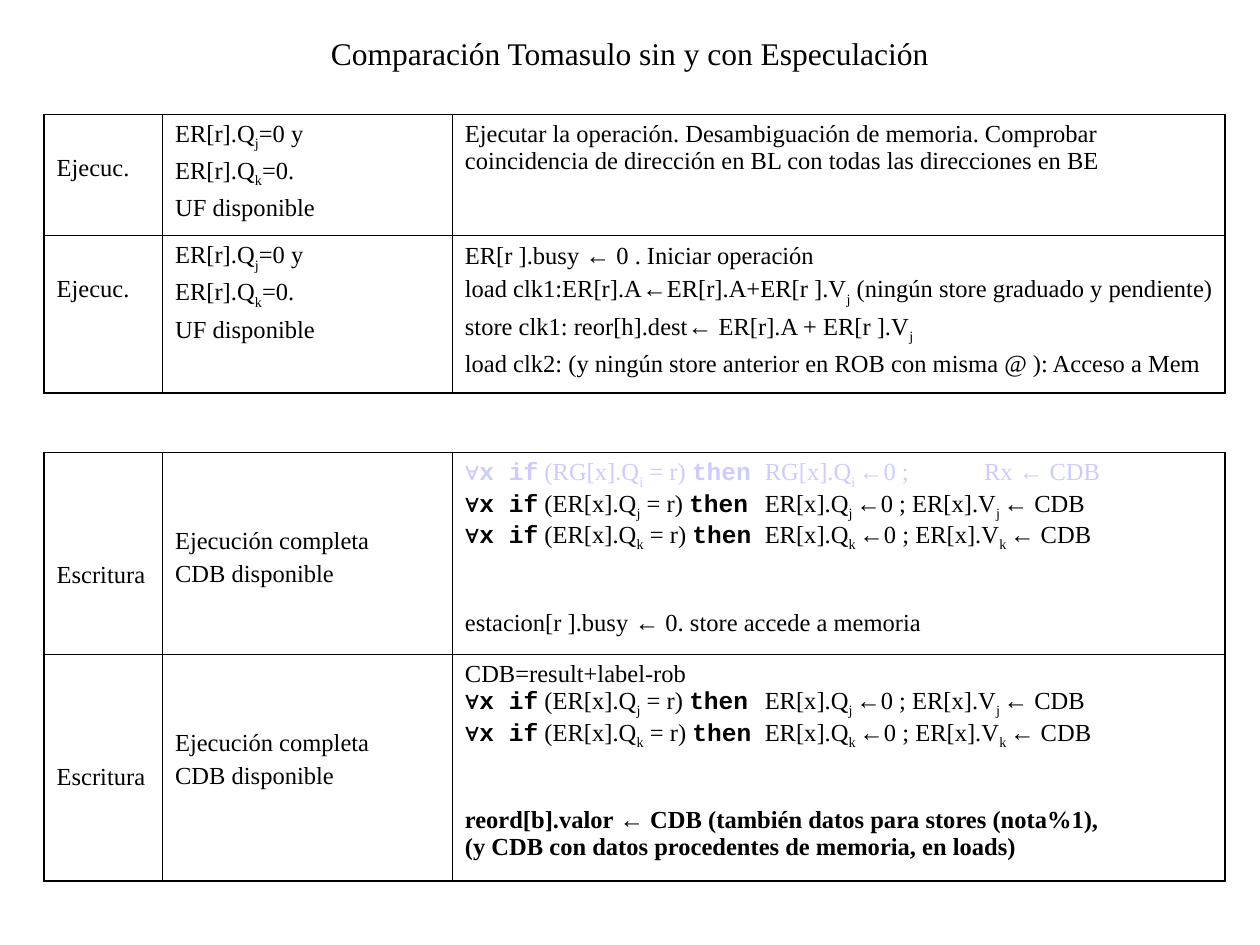
from dataclasses import dataclass

from lxml.etree import SubElement
from pptx import Presentation
from pptx.dml.color import RGBColor
from pptx.enum.text import MSO_ANCHOR, PP_ALIGN
from pptx.oxml.ns import qn
from pptx.util import Inches, Pt


@dataclass(frozen=True)
class Theme:
    ink: str = "000000"
    faded: str = "CCCCFF"
    serif: str = "Times New Roman"
    symbol: str = "Arial"
    code: str = "Courier New"
    title_size: int = 18
    body_size: int = 14
    outer_line: float = 1.08
    inner_line: float = 0.45


@dataclass
class Line:
    runs: list
    before: float = 0
    color: str = Theme.ink
    size: int = Theme.body_size
    tabs: tuple = ()


theme = Theme()
# Each style: font, bold, subscript
STYLES = {
    "text": (theme.serif, False, False),
    "bold": (theme.serif, True, False),
    "sub": (theme.serif, False, True),
    "symbol": (theme.symbol, False, False),
    "bold symbol": (theme.symbol, True, False),
    "code": (theme.code, True, False),
}
ARROW = ("←", "symbol")
STEP = 3.5  # points between ordinary lines
BREAK = 32  # points before the closing lines of a write cell


def write(frame, lines):
    for number, line in enumerate(lines):
        para = frame.paragraphs[0] if number == 0 else frame.add_paragraph()
        para.space_before = Pt(line.before if number else 0)
        if line.tabs:
            stops = SubElement(para._p.get_or_add_pPr(), qn("a:tabLst"))
            for stop in line.tabs:
                SubElement(stops, qn("a:tab"), pos=str(Inches(stop)), algn="l")
        for text, style in line.runs:
            span = para.add_run()
            span.text = text
            font, bold, subscript = STYLES[style]
            span.font.name = font
            span.font.size = Pt(line.size)
            span.font.bold = bold
            span.font.color.rgb = RGBColor.from_string(line.color)
            if subscript:
                span._r.get_or_add_rPr().set("baseline", "-25000")


def condition(unit, index, target, color=theme.ink):
    """Line that clears the tag of a unit and copies the bus to target."""
    return Line([
        ("∀", "bold symbol"), ("x if", "code"), (f" ({unit}[x].Q", "text"),
        (index, "sub"), (" = r) ", "text"), ("then", "code"),
        (f"\t{unit}[x].Q", "text"), (f"{index} ", "sub"), ARROW,
        ("0 ;", "text"), *target, ARROW, (" CDB", "text"),
    ], color=color, tabs=(2.38, 4.12))


operands = [
    Line([("ER[r].Q", "text"), ("j", "sub"), ("=0 y", "text")]),
    Line([("ER[r].Q", "text"), ("k", "sub"), ("=0.", "text")], STEP),
    Line([("UF disponible", "text")], STEP),
]
completion = [
    Line([("Ejecución completa", "text")]),
    Line([("CDB disponible", "text")], STEP),
]
station_updates = [
    condition("ER", index, [(" ER[x].V", "text"), (f"{index} ", "sub")])
    for index in "jk"
]

execute_plain = [Line([(
    "Ejecutar la operación. Desambiguación de memoria. Comprobar "
    "coincidencia de dirección en BL con todas las direcciones en BE", "text")])]
execute_speculative = [
    Line([("ER[r ].busy ", "text"), ARROW, (" 0 . Iniciar operación", "text")]),
    Line([("load clk1:ER[r].A", "text"), ARROW, ("ER[r].A+ER[r ].V", "text"),
          ("j", "sub"), (" (ningún store graduado y pendiente)", "text")], STEP),
    Line([("store clk1: reor[h].dest", "text"), ARROW,
          (" ER[r].A + ER[r ].V", "text"), ("j", "sub")], STEP),
    Line([("load clk2: (y ningún store anterior en ROB con misma @ ): "
           "Acceso a Mem", "text")], STEP),
]
write_plain = [
    condition("RG", "i", [("\tRx ", "text")], theme.faded),
    *station_updates,
    Line([("estacion[r ].busy ", "text"), ARROW,
          (" 0. store accede a memoria", "text")], BREAK),
]
write_speculative = [
    Line([("CDB=result+label-rob", "text")]),
    *station_updates,
    Line([("reord[b].valor ", "bold"), ("←", "bold symbol"),
          (" CDB (también datos para stores (nota%1),", "bold")], BREAK),
    Line([("(y CDB con datos procedentes de memoria, en loads)", "bold")]),
]

# Each table: top, row heights, stage, conditions, actions by row, top margins
TABLES = [
    (0.91, (0.96, 1.25), "Ejecuc.", operands,
     (execute_plain, execute_speculative), (0.32, 0.05, 0.05)),
    (3.59, (1.6, 1.8), "Escritura", completion,
     (write_plain, write_speculative), (0.87, 0.6, 0.05)),
]
COLUMNS = (0.94, 2.3, 6.13)

deck = Presentation()
deck.slide_width, deck.slide_height = Inches(10), Inches(7.5)
page = deck.slides.add_slide(deck.slide_layouts[6])

title = page.shapes.add_textbox(Inches(0.75), Inches(0.21), Inches(8.5), Inches(0.42))
title.text_frame.word_wrap = True
title.text_frame.vertical_anchor = MSO_ANCHOR.MIDDLE
write(title.text_frame, [Line([("Comparación Tomasulo sin y con Especulación", "text")],
                              size=theme.title_size)])
title.text_frame.paragraphs[0].alignment = PP_ALIGN.CENTER

for top, heights, stage, conditions, actions, margins in TABLES:
    table = page.shapes.add_table(
        len(heights), len(COLUMNS), Inches(0.35), Inches(top),
        Inches(sum(COLUMNS)), Inches(sum(heights))).table
    table.first_row = table.horz_banding = False
    for column, width in zip(table.columns, COLUMNS):
        column.width = Inches(width)
    for r, height in enumerate(heights):
        table.rows[r].height = Inches(height)
        contents = ([Line([(stage, "text")])], conditions, actions[r])
        for c, lines in enumerate(contents):
            cell = table.cell(r, c)
            cell.margin_top = Inches(margins[c])
            cell.margin_right = Inches(0.07)
            write(cell.text_frame, lines)
            outer = {"L": c == 0, "R": c == len(COLUMNS) - 1,
                     "T": r == 0, "B": r == len(heights) - 1}
            for side, is_outer in outer.items():
                weight = theme.outer_line if is_outer else theme.inner_line
                border = SubElement(cell._tc.get_or_add_tcPr(), qn(f"a:ln{side}"),
                                    w=str(Pt(weight)))
                fill = SubElement(border, qn("a:solidFill"))
                SubElement(fill, qn("a:srgbClr"), val=theme.ink)
            cell.fill.background()

deck.save("out.pptx")
